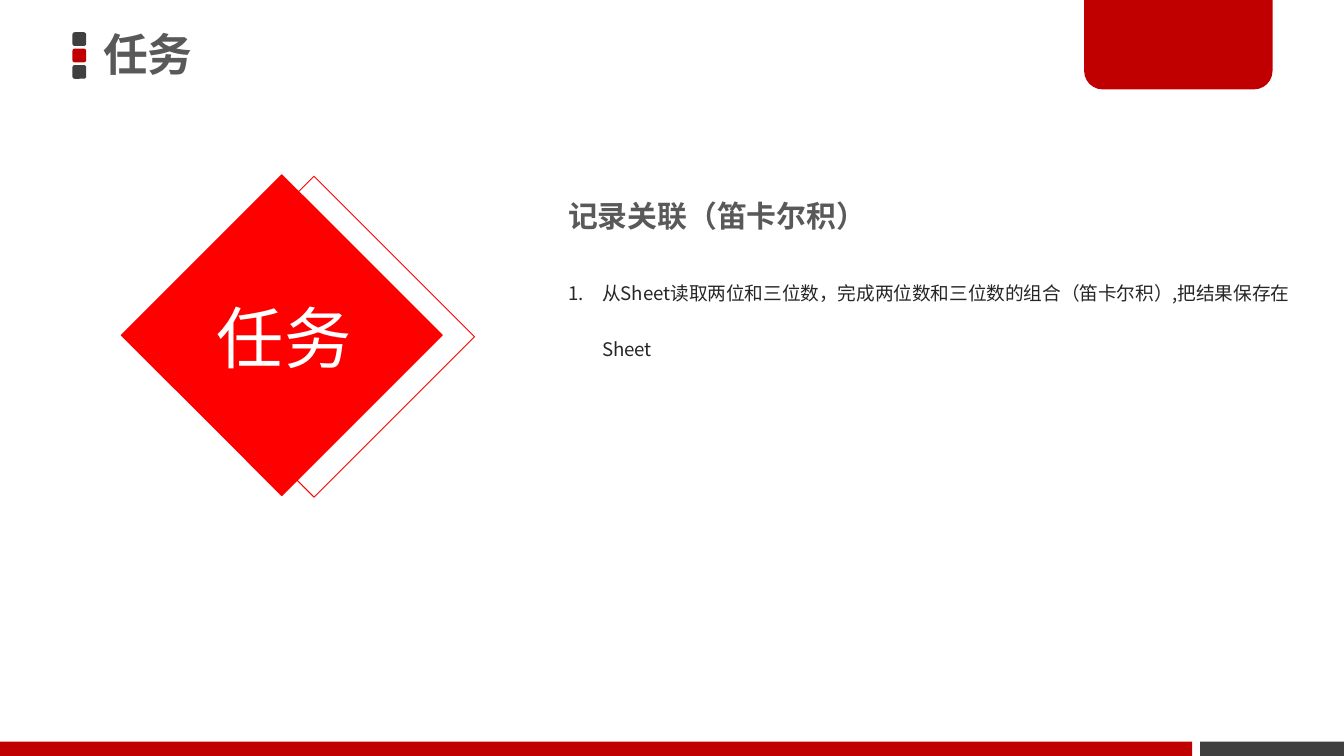
from lxml import etree
from pptx import Presentation
from pptx.dml.color import RGBColor
from pptx.enum.shapes import MSO_SHAPE
from pptx.enum.text import MSO_ANCHOR, PP_ALIGN
from pptx.oxml.ns import qn
from pptx.util import Cm, Pt

RECT = MSO_SHAPE.RECTANGLE
ROUNDED = MSO_SHAPE.ROUNDED_RECTANGLE
ROUND_TWO = MSO_SHAPE.ROUND_2_SAME_RECTANGLE
TOP, MIDDLE = MSO_ANCHOR.TOP, MSO_ANCHOR.MIDDLE
LEFT, CENTER = PP_ALIGN.LEFT, PP_ALIGN.CENTER

CRIMSON = RGBColor(0xC0, 0x00, 0x00)
RED = RGBColor(0xFF, 0x00, 0x00)
CHARCOAL = RGBColor(0x40, 0x40, 0x40)
GRAY = RGBColor(0x59, 0x59, 0x59)
INK = RGBColor(0x26, 0x26, 0x26)
WHITE = RGBColor(0xFF, 0xFF, 0xFF)

WIDTH, HEIGHT = 25.4, 14.29


class TaskSlide:
    """Draws styled elements on one slide; boxes are (left, top, width, height) in cm."""

    font_name = "Noto Sans CJK SC"

    def __init__(self, slide):
        self.slide = slide

    def block(self, kind, box, fill=None, line=None, corners=(), rotation=0):
        shape = self.slide.shapes.add_shape(kind, *map(Cm, box))
        shape.shadow.inherit = False
        shape.rotation = rotation
        for index, radius in enumerate(corners):
            shape.adjustments[index] = radius
        if fill is None:
            shape.fill.background()
        else:
            shape.fill.solid()
            shape.fill.fore_color.rgb = fill
        if line is None:
            shape.line.fill.background()
        else:
            shape.line.color.rgb = line
            shape.line.width = Pt(0.5)

    def diamond(self, left, top, fill=None):
        side = 4.29
        self.block(RECT, (left, top, side, side), fill, RED, rotation=45)

    def text(self, words, box, size, color, bold=False, align=LEFT, anchor=TOP,
             spacing=1.0, inset=(0.25, 0.13), numbered=False):
        frame = self.slide.shapes.add_textbox(*map(Cm, box)).text_frame
        frame.word_wrap = True
        frame.vertical_anchor = anchor
        frame.margin_left = frame.margin_right = Cm(inset[0])
        frame.margin_top = frame.margin_bottom = Cm(inset[1])
        paragraph = frame.paragraphs[0]
        paragraph.text = words
        paragraph.alignment = align
        paragraph.line_spacing = spacing
        if numbered:
            self.number(paragraph, color)
        font = paragraph.font
        font.size, font.bold = Pt(size), bold
        font.color.rgb = color
        font.name = self.font_name
        defaults = paragraph._p.pPr.find(qn("a:defRPr"))
        etree.SubElement(defaults, qn("a:ea"), typeface=self.font_name)

    def number(self, paragraph, color):
        """Give the paragraph a hanging automatic number."""
        properties = paragraph._p.get_or_add_pPr()
        properties.set("marL", str(Cm(0.64)))
        properties.set("indent", str(Cm(-0.64)))
        bullet_color = etree.SubElement(properties, qn("a:buClr"))
        etree.SubElement(bullet_color, qn("a:srgbClr"), val=str(color))
        etree.SubElement(properties, qn("a:buFont"), typeface=self.font_name)
        etree.SubElement(properties, qn("a:buAutoNum"), type="arabicPeriod")


def main():
    deck = Presentation()
    deck.slide_width, deck.slide_height = Cm(WIDTH), Cm(HEIGHT)
    page = TaskSlide(deck.slides.add_slide(deck.slide_layouts[6]))

    for row, color in enumerate((CHARCOAL, CRIMSON, CHARCOAL)):
        page.block(ROUNDED, (1.37, 0.61 + 0.31 * row, 0.26, 0.26), color,
                   corners=(0.167,))

    footer_top = 14.02
    footer_height = HEIGHT - footer_top
    gray_left = 22.68
    page.block(RECT, (gray_left, footer_top, WIDTH - gray_left, footer_height), CHARCOAL)
    page.block(ROUND_TWO, (20.49, -0.05, 3.56, 1.74), CRIMSON, corners=(0, 0.2))
    page.block(RECT, (0, footer_top, 22.53, footer_height), CRIMSON)

    page.diamond(3.79, 4.22)
    page.diamond(3.18, 4.19, RED)

    label_style = dict(anchor=MIDDLE, spacing=0.9, inset=(0.2, 0.1))
    page.text("任务", (0.05, 5.33, 10.64, 2.26), 36, WHITE, align=CENTER, **label_style)
    page.text("任务", (1.75, -0.05, 10.95, 2.26), 24, GRAY, bold=True, **label_style)

    page.text("记录关联（笛卡尔积）", (10.49, 3.61, 9.8, 0.94), 16, GRAY, bold=True)
    page.text("从Sheet读取两位和三位数，完成两位数和三位数的组合（笛卡尔积）,把结果保存在Sheet",
              (10.49, 4.57, 14.2, 2.39), 10, INK, spacing=2.5, numbered=True)

    deck.save("out.pptx")


if __name__ == "__main__":
    main()
